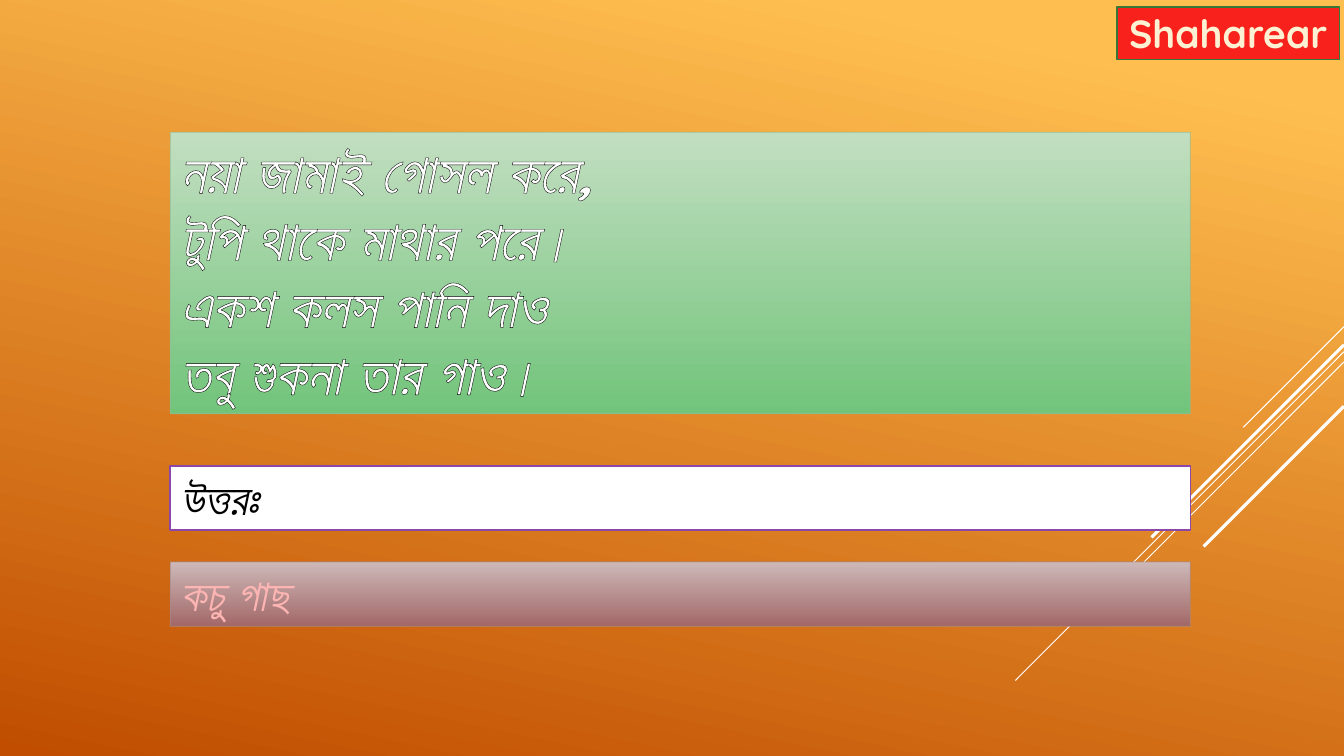
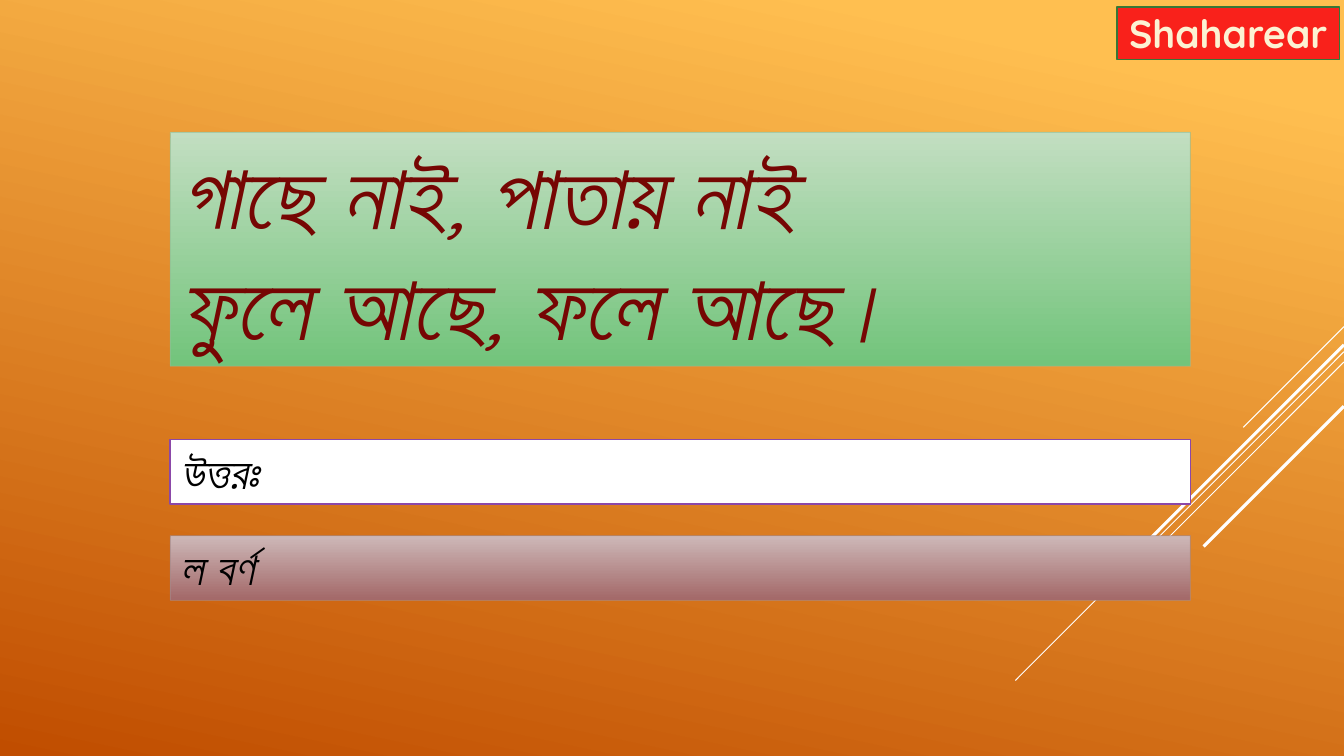
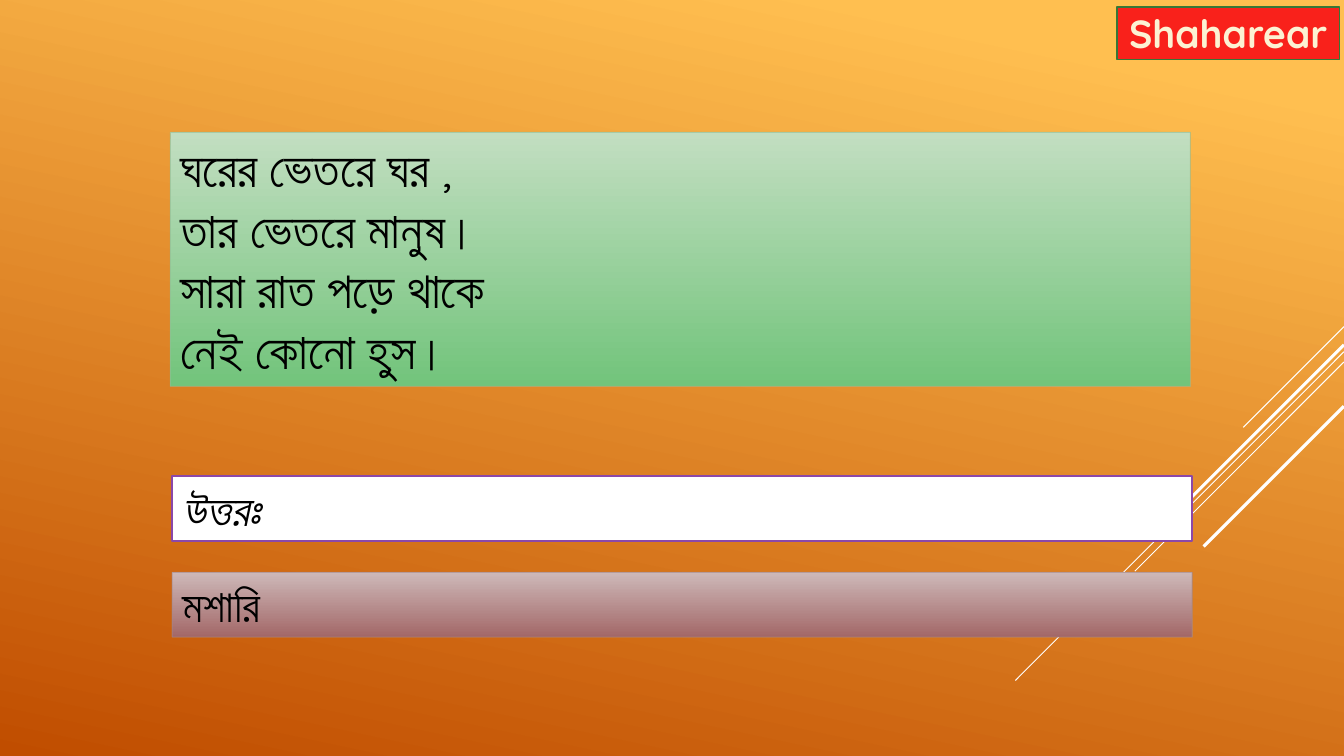
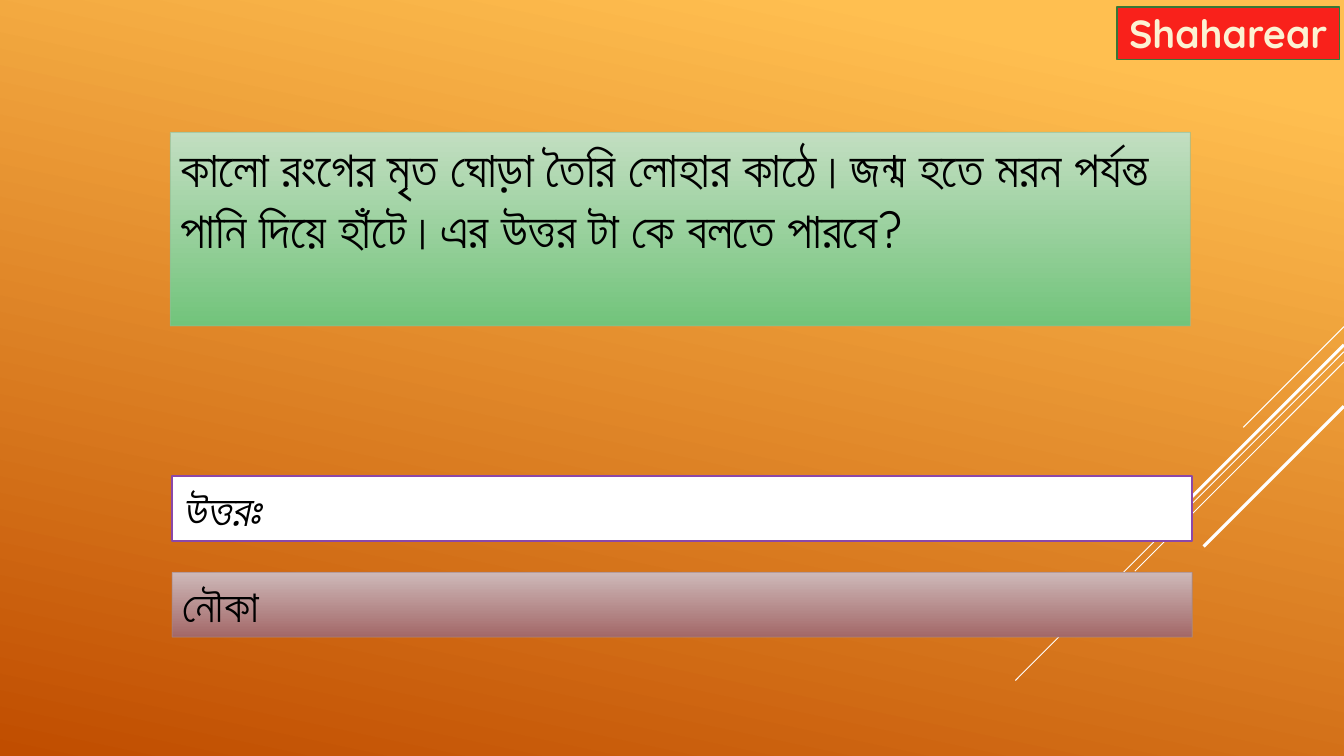
import dataclasses

import pptx
import pptx.dml.color
import pptx.enum.dml
import pptx.enum.shapes
import pptx.enum.text
import pptx.oxml
import pptx.oxml.ns
import pptx.util

PATTERN = pptx.enum.dml.MSO_PATTERN
ALIGN = pptx.enum.text.PP_ALIGN
ANCHOR = pptx.enum.text.MSO_ANCHOR


# Theme: every colour, type size and line width
class Theme:
    font = "Quicksand"
    background = ((0.1, "FFBF50"), (1, "C04D00"))
    background_angle = 102
    ray = "FFFFFF"
    thin, medium, thick = 0.75, 1.25, 2.25
    badge_fill, badge_line = "F9211B", "377738"
    riddle_fill = ((0, "C2DEC1"), (1, "72C47B"))
    riddle_line = "94BD94"
    label_fill, label_line = "FFFFFF", "8B48A8"
    answer_fill = ((0, "CDB8B8"), (1, "A36868"))
    answer_line = "A58989"
    line_opacity = 60
    black, white, maroon = "000000", "FFFFFF", "760603"
    badge_size, verse_size, couplet_size = 28, 40, 66
    prose_size, answer_size = 36, 32


@dataclasses.dataclass
class TextStyle:
    size: float
    color: str = Theme.black
    bold: bool = False
    italic: bool = False
    pattern: tuple = ()      # pattern, foreground, background
    outline: tuple = ()      # colour, width in points


BADGE = TextStyle(Theme.badge_size, bold=True,
                  pattern=(PATTERN.DARK_UPWARD_DIAGONAL, "F0BE21", "FCF2D3"),
                  outline=("C0950D", 1))
VERSE = TextStyle(Theme.verse_size, Theme.white, True, True, outline=(Theme.black, 1.06))
COUPLET = TextStyle(Theme.couplet_size, Theme.maroon, italic=True)
PROSE = TextStyle(Theme.prose_size)
PLAIN_ANSWER = TextStyle(Theme.answer_size)
SLANTED_ANSWER = TextStyle(Theme.answer_size, italic=True)
PATTERNED_ANSWER = TextStyle(Theme.answer_size, bold=True, italic=True,
                             pattern=(PATTERN.PERCENT_50, Theme.maroon, "FDB5B3"),
                             outline=(Theme.maroon, 1))


def rgb(code):
    return pptx.dml.color.RGBColor.from_string(code)


class Deck:
    """Holds the theme, a grid of 160 columns by 90 rows, and the current slide."""

    columns, rows = 160, 90
    panel_left, panel_width = 20.28, 121.44
    riddle_top = 15.75
    answer_height, answer_step = 7.7, 11.45
    # top row at the right edge, columns covered, line width
    rays = ((38.88, 12, Theme.thin), (41.88, 39.12, Theme.thin),
            (43.1, 24.9, Theme.thin), (41.05, 22.92, Theme.thick),
            (48.36, 16.7, Theme.thick))

    def __init__(self):
        self.deck = pptx.Presentation()
        self.deck.slide_width = pptx.util.Emu(12192000)
        self.deck.slide_height = pptx.util.Emu(6858000)
        self.cell = self.deck.slide_width / self.columns

    def grid(self, *cells):
        return [pptx.util.Emu(round(count * self.cell)) for count in cells]

    # Shared backdrop
    def new_slide(self):
        self.slide = self.deck.slides.add_slide(self.deck.slide_layouts[6])
        self.paint(self.slide.background.fill, Theme.background, Theme.background_angle)
        for top, reach, width in self.rays:
            self.ray(top, reach, width)
        self.panel((132.96, 0.84, 26.52, 6.24), Theme.badge_fill, Theme.badge_line,
                   Theme.medium, ["Shaharear"], BADGE, ALIGN.CENTER, ANCHOR.MIDDLE)

    def ray(self, top, reach, width):
        ends = self.grid(self.columns, top, self.columns - reach, top + reach)
        ray = self.slide.shapes.add_connector(pptx.enum.shapes.MSO_CONNECTOR.STRAIGHT, *ends)
        ray.line.color.rgb = rgb(Theme.ray)
        ray.line.width = pptx.util.Pt(width)
        ray._element.spPr.append(pptx.oxml.parse_xml(
            f'<a:effectLst {pptx.oxml.ns.nsdecls("a")}/>'))

    def paint(self, fill, color, angle=90):
        if isinstance(color, str):
            fill.solid()
            fill.fore_color.rgb = rgb(color)
            return
        fill.gradient()
        fill.gradient_angle = 360 - angle
        for stop, (position, code) in zip(fill.gradient_stops, color):
            stop.position = position
            stop.color.rgb = rgb(code)

    def panel(self, box, fill, line, line_width, lines, style,
              align=ALIGN.LEFT, anchor=ANCHOR.TOP, opacity=100):
        panel = self.slide.shapes.add_shape(
            pptx.enum.shapes.MSO_SHAPE.RECTANGLE, *self.grid(*box))
        panel.shadow.inherit = False
        self.paint(panel.fill, fill)
        panel.line.color.rgb = rgb(line)
        panel.line.width = pptx.util.Pt(line_width)
        if opacity < 100:
            color = panel.line._ln.find(".//" + pptx.oxml.ns.qn("a:srgbClr"))
            color.append(pptx.oxml.parse_xml(
                f'<a:alpha {pptx.oxml.ns.nsdecls("a")} val="{opacity * 1000}"/>'))
        frame = panel.text_frame
        frame.word_wrap = True
        frame.vertical_anchor = anchor
        paragraph = frame.paragraphs[0]
        paragraph.alignment = align
        for index, text in enumerate(lines):
            if index:
                paragraph.add_line_break()
            self.run(paragraph, text, style)

    def run(self, paragraph, text, style):
        run = paragraph.add_run()
        run.text = text
        font = run.font
        font.name = Theme.font
        font.size = pptx.util.Pt(style.size)
        font.bold, font.italic = style.bold, style.italic
        if style.pattern:
            font.fill.patterned()
            font.fill.pattern = style.pattern[0]
            font.fill.fore_color.rgb = rgb(style.pattern[1])
            font.fill.back_color.rgb = rgb(style.pattern[2])
        else:
            font.color.rgb = rgb(style.color)
        if style.outline:
            color, width = style.outline
            run._r.get_or_add_rPr().insert(0, pptx.oxml.parse_xml(
                f'<a:ln {pptx.oxml.ns.nsdecls("a")} w="{pptx.util.Pt(width)}">'
                f'<a:solidFill><a:srgbClr val="{color}"/></a:solidFill></a:ln>'))

    # Riddle panel
    def riddle(self, height, lines, style):
        self.panel((self.panel_left, self.riddle_top, self.panel_width, height),
                   Theme.riddle_fill, Theme.riddle_line, Theme.thin, lines, style,
                   opacity=Theme.line_opacity)

    # Answer label with the answer below it
    def answer(self, top, text, style, left=panel_left):
        size = (self.panel_width, self.answer_height)
        self.panel((left, top, *size), Theme.label_fill, Theme.label_line,
                   Theme.medium, ["উত্তরঃ"], SLANTED_ANSWER)
        self.panel((left, top + self.answer_step, *size), Theme.answer_fill,
                   Theme.answer_line, Theme.thin, [text], style,
                   opacity=Theme.line_opacity)


quiz = Deck()

# Slide 1: the bathing bridegroom
quiz.new_slide()
quiz.riddle(33.5, ["নয়া জামাই গোসল করে,", "টুপি থাকে মাথার পরে।",
                   "একশ কলস পানি দাও", "তবু শুকনা তার গাও।"], VERSE)
quiz.answer(55.44, "কচু গাছ", PATTERNED_ANSWER)

# Slide 2: the hidden letter
quiz.new_slide()
quiz.riddle(27.85, ["গাছে নাই, পাতায় নাই", "ফুলে আছে, ফলে আছে।"], COUPLET)
quiz.answer(52.32, "ল বর্ণ", SLANTED_ANSWER)

# Slide 3: the room within a room
quiz.new_slide()
quiz.riddle(30.25, ["ঘরের ভেতরে ঘর ,", "তার ভেতরে মানুষ।",
                    "সারা রাত পড়ে থাকে", "নেই কোনো হুস।"], PROSE)
quiz.answer(56.7, "মশারি", PLAIN_ANSWER, left=20.5)

# Slide 4: the black wooden horse
quiz.new_slide()
quiz.riddle(23.05, ["কালো রংগের মৃত ঘোড়া তৈরি লোহার কাঠে।জন্ম হতে মরন পর্যন্ত "
                    "পানি দিয়ে হাঁটে।এর উত্তর টা কে বলতে পারবে?"], PROSE)
quiz.answer(56.7, "নৌকা", PLAIN_ANSWER, left=20.5)

quiz.deck.save("out.pptx")
